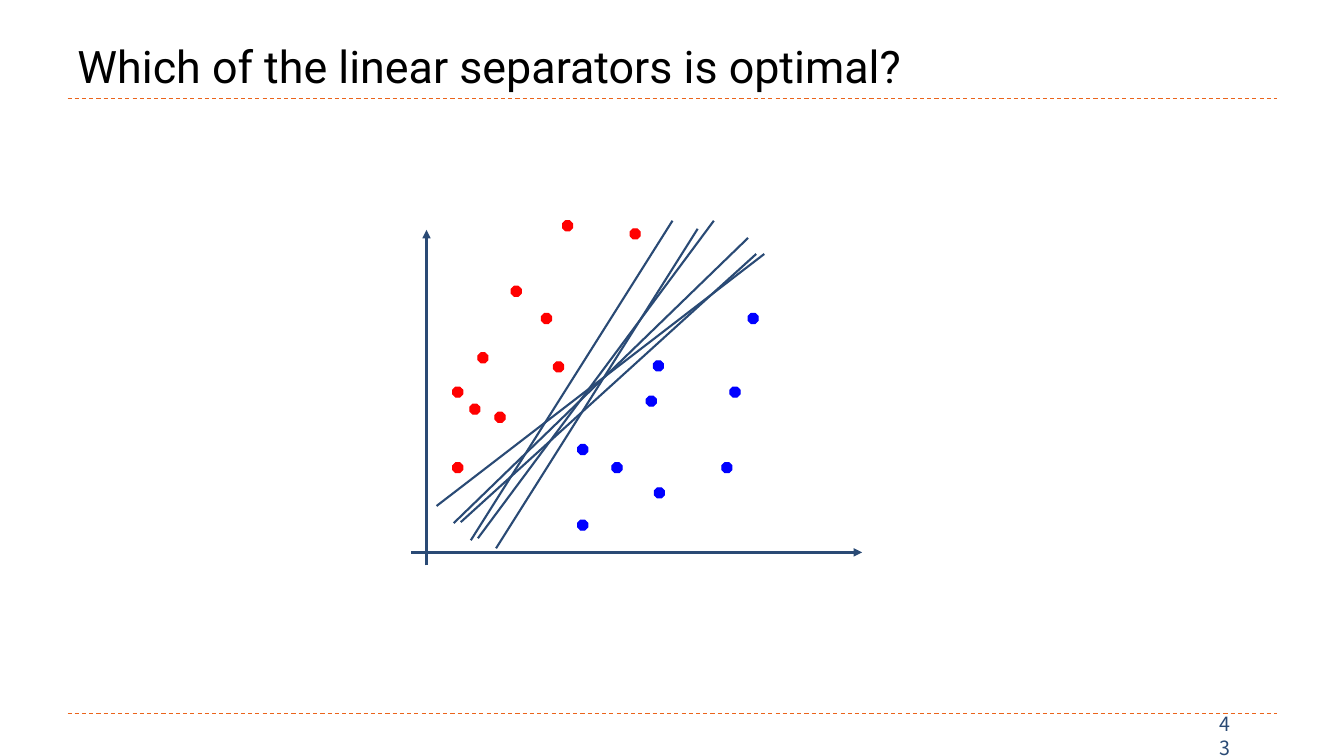
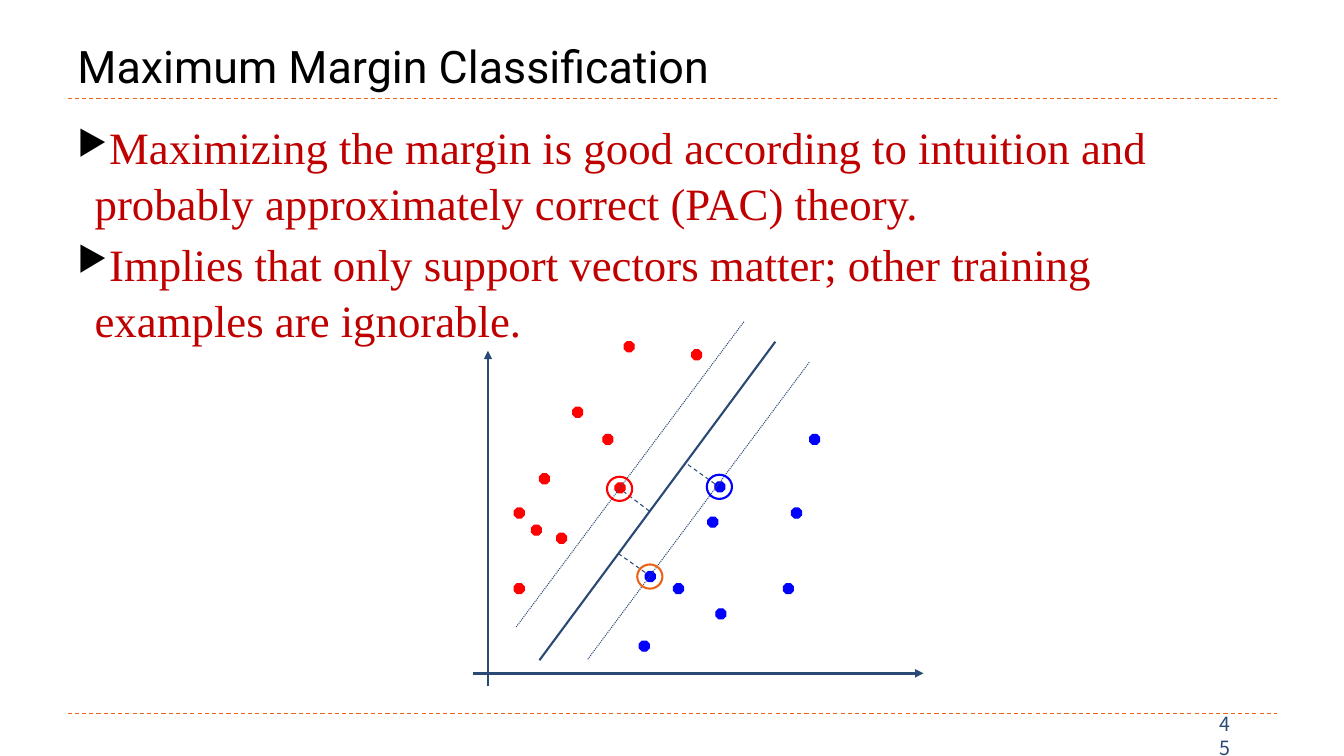
"""Build two slides on linear separators and maximum margin classification."""
import pptx
import pptx.dml.color
import pptx.enum.dml
import pptx.enum.shapes
import pptx.enum.text
import pptx.oxml.ns
import pptx.util
from lxml import etree

PX = 9144
NAVY, ORANGE, RED, BLUE = "2A4A75", "EB641B", "FF0000", "0000FF"
BLACK, CRIMSON = "000000", "C00000"
DASH = pptx.enum.dml.MSO_LINE.DASH
DOT = pptx.enum.dml.MSO_LINE.ROUND_DOT
SHAPE = pptx.enum.shapes.MSO_SHAPE
ANCHOR = pptx.enum.text.MSO_ANCHOR
rgb = pptx.dml.color.RGBColor.from_string
qn = pptx.oxml.ns.qn

RED_DOTS = [(537, 311), (474, 350), (491, 409), (449, 459), (507, 284), (449, 384),
            (466, 401), (549, 359), (558, 219), (625, 227)]
BLUE_DOTS = [(648, 358), (607, 459), (716, 459), (573, 516), (641, 393),
             (649, 484), (724, 384), (742, 311)]
SEPARATORS = [(457, 518, 750, 252), (474, 534, 708, 219), (433, 502, 758, 252),
              (492, 544, 692, 227), (467, 536, 667, 219), (450, 519, 742, 236)]
MARGIN_LINES = [(535, 655, 769, 339, 1.5, None),
                (709, 480, 681, 460, 0.75, DASH),
                (640, 568, 613, 549, 0.75, DASH),
                (644, 507, 619, 488, 0.75, DASH),
                (583, 654, 803, 359, 0.75, DOT),
                (512, 622, 738, 319, 0.75, DOT)]
SUPPORT_RINGS = [(602, 473, RED), (632, 560, ORANGE), (701, 471, BLUE)]
BULLETS = ["Maximizing the margin is good according to intuition and probably "
           "approximately correct (PAC) theory.",
           "Implies that only support vectors matter; other training examples are ignorable."]

SLIDES = [
    dict(title="Which of the linear separators is optimal?", number="43", bullets=[],
         shift=(0, 0), near_dot=(573, 441), rings=[],
         lines=[(*ends, 1.5, None) for ends in SEPARATORS]),
    dict(title="Maximum Margin Classification", number="45", bullets=BULLETS,
         shift=(61, 120), near_dot=(579, 447), rings=SUPPORT_RINGS, lines=MARGIN_LINES),
]


def add_line(s, x1, y1, x2, y2, color, width, dash=None, arrow=False):
    ends = [v * PX for v in (x1, y1, x2, y2)]
    cx = s.shapes.add_connector(pptx.enum.shapes.MSO_CONNECTOR.STRAIGHT, *ends)
    cx.line.color.rgb = rgb(color)
    cx.line.width = pptx.util.Pt(width)
    if dash:
        cx.line.dash_style = dash
    if arrow:
        etree.SubElement(cx.line._get_or_add_ln(), qn("a:tailEnd"), type="triangle")
    etree.SubElement(cx._element.spPr, qn("a:effectLst"))


def add_text(s, box, texts, font, size, color, anchor, bullet=None):
    tf = s.shapes.add_textbox(*[v * PX for v in box]).text_frame
    tf.word_wrap = True
    tf.vertical_anchor = anchor
    for i, text in enumerate(texts):
        p = tf.paragraphs[0] if i == 0 else tf.add_paragraph()
        if bullet:
            pPr = p._p.get_or_add_pPr()
            pPr.set("marL", str(17 * PX))
            pPr.set("indent", str(-17 * PX))
            p.line_spacing = 1.04
            if i:
                p.space_before = pptx.util.Pt(3.4)
            clr = etree.SubElement(pPr, qn("a:buClr"))
            etree.SubElement(clr, qn("a:srgbClr"), val=BLACK)
            etree.SubElement(pPr, qn("a:buSzPct"), val="76000")
            etree.SubElement(pPr, qn("a:buChar"), char=bullet)
        r = p.add_run()
        r.text = text
        r.font.name = font
        r.font.size = pptx.util.Pt(size)
        r.font.color.rgb = rgb(color)


prs = pptx.Presentation()
prs.slide_width, prs.slide_height = 1333 * PX, 750 * PX

for page in SLIDES:
    s = prs.slides.add_slide(prs.slide_layouts[6])
    for y in (98, 708):
        add_line(s, 67, y, 1267, y, ORANGE, 0.75, DASH)
    add_text(s, (1200, 713, 41, 34), [page["number"]], "Noto Sans CJK SC", 14, NAVY,
             ANCHOR.MIDDLE)
    add_text(s, (67, 17, 1200, 80), [page["title"]], "Roboto", 32, BLACK, ANCHOR.BOTTOM)
    if page["bullets"]:
        add_text(s, (67, 112, 1200, 588), page["bullets"], "Times New Roman", 32, CRIMSON,
                 ANCHOR.TOP, "▶")

    dx, dy = page["shift"]
    for x1, y1, x2, y2 in [(423, 561, 423, 228), (408, 548, 855, 548)]:
        add_line(s, x1 + dx, y1 + dy, x2 + dx, y2 + dy, NAVY, 2, arrow=True)

    for color, dots in [(RED, RED_DOTS), (BLUE, BLUE_DOTS + [page["near_dot"]])]:
        for x, y in dots:
            sp = s.shapes.add_shape(SHAPE.OCTAGON, (x + dx) * PX, (y + dy) * PX,
                                    10 * PX, 10 * PX)
            sp.shadow.inherit = False
            sp.fill.solid()
            sp.fill.fore_color.rgb = rgb(color)
            sp.line.color.rgb = rgb(color)
            sp.line.width = pptx.util.Pt(0.75)

    for x1, y1, x2, y2, width, dash in page["lines"]:
        add_line(s, x1, y1, x2, y2, NAVY, width, dash)

    for x, y, color in page["rings"]:
        sp = s.shapes.add_shape(SHAPE.OVAL, x * PX, y * PX, 25 * PX, 24 * PX)
        sp.shadow.inherit = False
        sp.fill.background()
        sp.line.color.rgb = rgb(color)
        sp.line.width = pptx.util.Pt(1.5)

prs.save("out.pptx")
